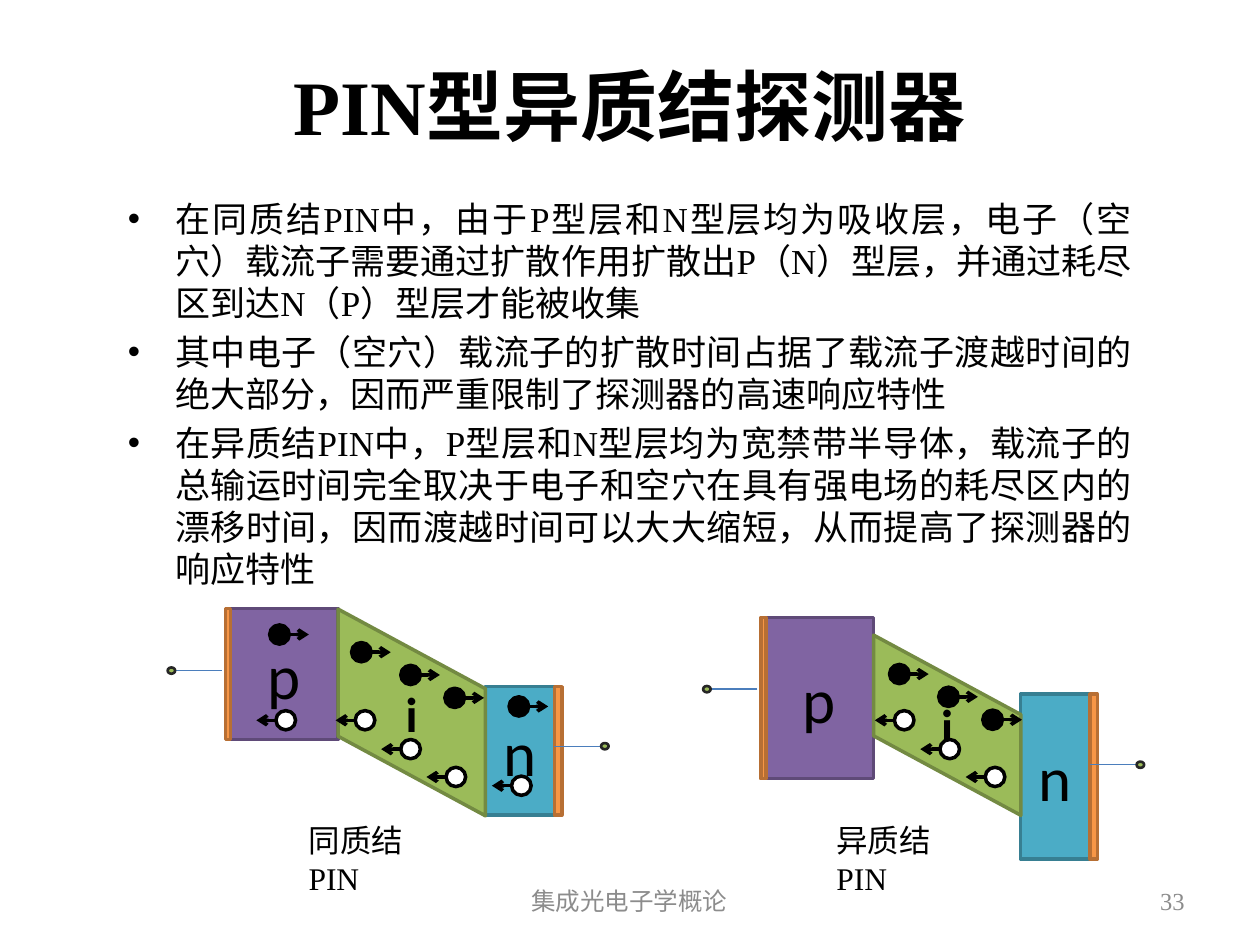
from lxml import etree
from pptx import Presentation
from pptx.dml.color import RGBColor
from pptx.enum.shapes import MSO_CONNECTOR, MSO_SHAPE
from pptx.enum.text import MSO_ANCHOR, PP_ALIGN
from pptx.oxml.ns import qn
from pptx.util import Pt

RECTANGLE, ELLIPSE = MSO_SHAPE.RECTANGLE, MSO_SHAPE.OVAL
PARALLELOGRAM = MSO_SHAPE.PARALLELOGRAM
STRAIGHT = MSO_CONNECTOR.STRAIGHT
TOP, MIDDLE = MSO_ANCHOR.TOP, MSO_ANCHOR.MIDDLE
LEFT, CENTER, RIGHT, JUSTIFY = PP_ALIGN.LEFT, PP_ALIGN.CENTER, PP_ALIGN.RIGHT, PP_ALIGN.JUSTIFY

SERIF, SANS = "Times New Roman", "Calibri"
BLACK, WHITE, GRAY = "000000", "FFFFFF", "8C8C8C"
PURPLE = ("8064A2", "5F4A78")
ORANGE = ("F79646", "B76F34")
TEAL = ("4BACC6", "377F92")
GREEN = ("9BBB59", "738A42")
TERMINAL = ("9BBB59", "262626")
WIRE = "4B7EBC"


def color(value):
    return RGBColor.from_string(value)


class SlideBuilder:
    def __init__(self, slide):
        self.slide = slide

    def run(self, paragraph, text, font, size, ink=BLACK, bold=False):
        run = paragraph.add_run()
        run.text = text
        run.font.name = font
        run.font.size = Pt(size)
        run.font.bold = bold
        run.font.color.rgb = color(ink)

    def text_box(self, left, top, width, height, anchor=TOP):
        box = self.slide.shapes.add_textbox(Pt(left), Pt(top), Pt(width), Pt(height))
        frame = box.text_frame
        frame.word_wrap = True
        frame.vertical_anchor = anchor
        return frame

    def text(self, left, top, width, height, runs, size, align=LEFT, anchor=TOP, ink=BLACK, bold=False):
        paragraph = self.text_box(left, top, width, height, anchor).paragraphs[0]
        paragraph.alignment = align
        for text, font in runs:
            self.run(paragraph, text, font, size, ink, bold)

    def bullets(self, left, top, width, height, items, size):
        frame = self.text_box(left, top, width, height)
        for index, item in enumerate(items):
            paragraph = frame.add_paragraph() if index else frame.paragraphs[0]
            paragraph.alignment = JUSTIFY
            paragraph.space_before = Pt(4 if index else 0)
            properties = paragraph._p.get_or_add_pPr()
            properties.set("marL", str(Pt(27)))
            properties.set("indent", str(Pt(-27)))
            etree.SubElement(properties, qn("a:buFont")).set("typeface", "Arial")
            etree.SubElement(properties, qn("a:buChar")).set("char", "•")
            self.run(paragraph, item, SERIF, size)

    def shape(self, kind, left, top, width, height, colors, weight=2, label="", size=36, bold=False):
        shape = self.slide.shapes.add_shape(kind, Pt(left), Pt(top), Pt(width), Pt(height))
        shape.shadow.inherit = False
        shape.fill.solid()
        shape.fill.fore_color.rgb = color(colors[0])
        shape.line.color.rgb = color(colors[1])
        shape.line.width = Pt(weight)
        if label:
            shape.text_frame.vertical_anchor = MIDDLE
            paragraph = shape.text_frame.paragraphs[0]
            paragraph.alignment = CENTER
            self.run(paragraph, label, SANS, size, bold=bold)
        return shape

    def line(self, start, end, y, ink, weight, arrow=False):
        connector = self.slide.shapes.add_connector(STRAIGHT, Pt(start), Pt(y), Pt(end), Pt(y))
        connector.line.color.rgb = color(ink)
        connector.line.width = Pt(weight)
        if arrow:
            etree.SubElement(connector.line._get_or_add_ln(), qn("a:tailEnd")).set("type", "arrow")
        etree.SubElement(connector._element.spPr, qn("a:effectLst"))

    def terminal(self, dot_left, start, end, y):
        self.line(start, end, y, WIRE, 0.75)
        self.shape(ELLIPSE, dot_left, y - 1.8, 4.3, 3.6, TERMINAL, 1.5)

    def device(self, left, p_layer, n_layer, i_middle, i_length, p_contact, n_contact):
        self.shape(RECTANGLE, left + 35.4, p_layer[0], 62, p_layer[1], PURPLE, label="p")
        self.shape(RECTANGLE, left + 33, p_layer[0], 2.9, p_layer[1], ORANGE)
        self.terminal(left, left + 31, left + 4.3, p_contact)
        self.shape(RECTANGLE, left + 181.4, n_layer[0], 39.6, n_layer[1], TEAL, label="n")
        self.shape(RECTANGLE, left + 221, n_layer[0], 4.3, n_layer[1], ORANGE)
        self.terminal(left + 247.7, left + 247.7, left + 221, n_contact)
        thickness = 84.2
        absorber = self.shape(PARALLELOGRAM, left + 139.5 - i_length / 2, i_middle - thickness / 2,
                              i_length, thickness, GREEN, label="i", size=28, bold=True)
        absorber.adjustments[0] = 0.54
        absorber.rotation = 270
        absorber.text_frame._txBody.bodyPr.set("vert", "vert")

    def carriers(self, positions, fill, direction, shift=(0, 0)):
        for x, y in positions:
            left, top = x + shift[0], y + shift[1]
            self.shape(ELLIPSE, left, top, 11.2, 11, (fill, BLACK))
            start = left + 11.2 if direction > 0 else left
            self.line(start, start + 11.2 * direction, top + 5.5, BLACK, 2, arrow=True)


def main():
    presentation = Presentation()
    presentation.slide_width, presentation.slide_height = Pt(720), Pt(540)
    builder = SlideBuilder(presentation.slides.add_slide(presentation.slide_layouts[6]))

    builder.text(36, 36, 648, 48, [("PIN型异质结探测器", SERIF)], 44, CENTER, MIDDLE, bold=True)
    builder.bullets(66, 109.4, 588, 389, [
        "在同质结PIN中，由于P型层和N型层均为吸收层，电子（空穴）载流子需要通过扩散作用扩散出P（N）型层，并通过耗尽区到达N（P）型层才能被收集",
        "其中电子（空穴）载流子的扩散时间占据了载流子渡越时间的绝大部分，因而严重限制了探测器的高速响应特性",
        "在异质结PIN中，P型层和N型层均为宽禁带半导体，载流子的总输运时间完全取决于电子和空穴在具有强电场的耗尽区内的漂移时间，因而渡越时间可以大大缩短，从而提高了探测器的响应特性",
    ], 20)
    builder.text(211, 500.4, 297.4, 28.8, [("集成光电子学概论", SANS)], 14, CENTER, MIDDLE, GRAY)
    builder.text(516.2, 500.4, 167.8, 28.8, [("33", SERIF)], 14, RIGHT, MIDDLE, GRAY)

    builder.device(401.8, (352.8, 92.2), (396.7, 94.3), 414.4, 103, 393.8, 437)
    builder.device(95.8, (347.8, 74.9), (392.4, 73.4), 407.1, 118.1, 383.2, 426.4)
    for left, name in ((169.2, "同质结"), (470.9, "异质结")):
        builder.text(left, 465.8, 92.2, 26, [(name, SANS), ("PIN", SERIF)], 18)

    drifting_holes = [(203, 406.1), (229, 422.6), (254.9, 438.5)]
    drifting_electrons = [(200.9, 367.2), (229, 380.2), (254.2, 393.3)]
    builder.carriers([(157.7, 406.1), (292.3, 443.5)], WHITE, -1)
    builder.carriers([(154.1, 357.1), (290.9, 398.2)], BLACK, 1)
    for hole_shift, electron_shift in (((0, 0), (0, 0)), ((308.1, 0), (307.4, 12.5))):
        builder.carriers(drifting_holes, WHITE, -1, hole_shift)
        builder.carriers(drifting_electrons, BLACK, 1, electron_shift)

    presentation.save("out.pptx")


if __name__ == "__main__":
    main()
